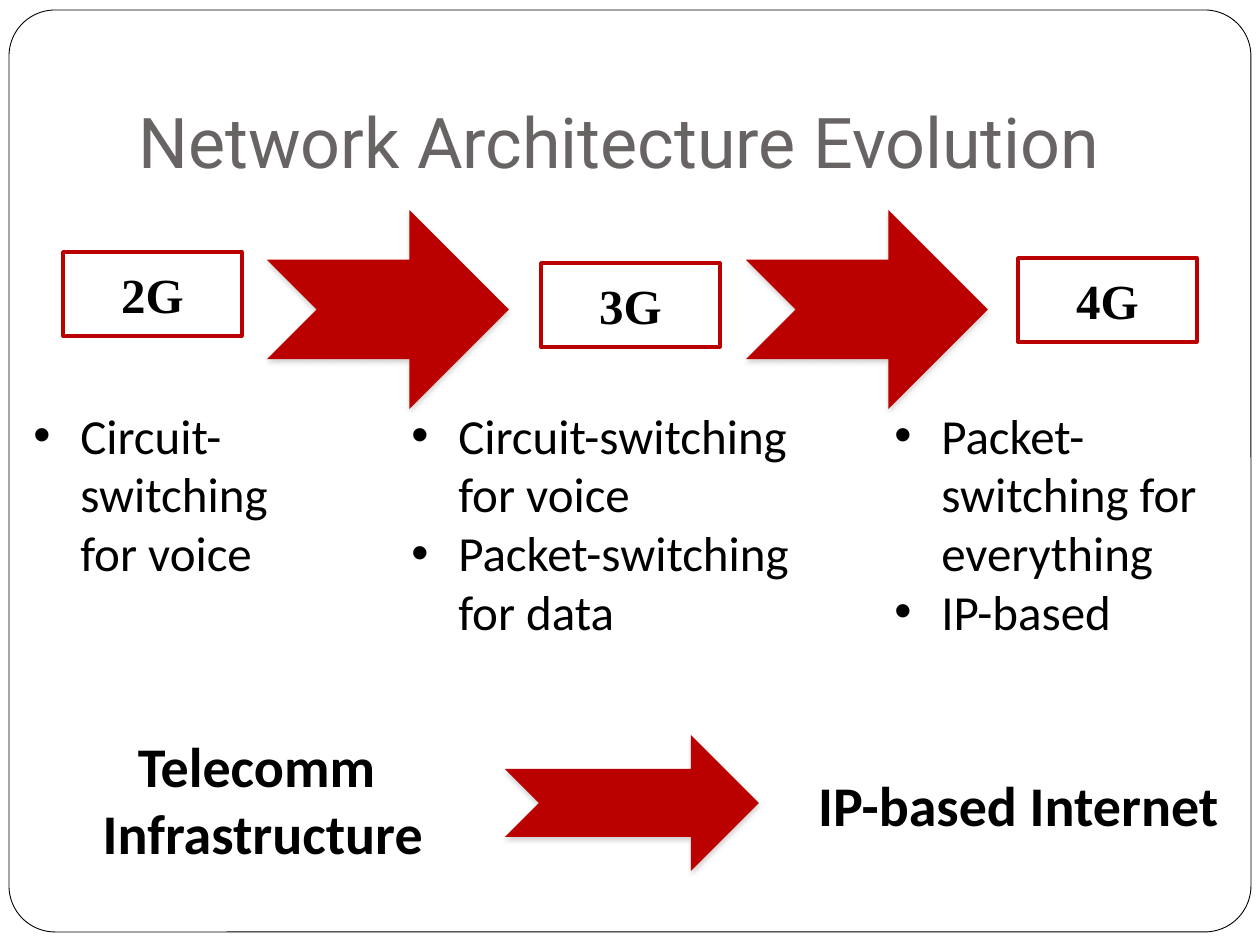
from lxml.etree import SubElement
from pptx import Presentation
from pptx.dml.color import RGBColor
from pptx.enum.shapes import MSO_SHAPE
from pptx.enum.text import MSO_ANCHOR, MSO_AUTO_SIZE, PP_ALIGN
from pptx.oxml.ns import qn
from pptx.util import Emu, Pt

# Content: places are left, top, width, height in px
TITLE = ("Network Architecture Evolution", (126, 38, 1071, 157))
GENERATIONS = [
    ("2G", (63, 252), (21, 399, 294, 192), ["Circuit-switching for voice"]),
    ("3G", (541, 263), (399, 399, 420, 251),
     ["Circuit-switching for voice", "Packet-switching for data"]),
    ("4G", (1018, 258), (882, 399, 388, 251),
     ["Packet-switching for everything", "IP-based"]),
]
LABEL_SIZE = (179, 84)
ARROWS = [(267, 210, 242, 199), (746, 210, 242, 199), (505, 735, 254, 136)]
SUMMARIES = [
    (["Telecomm ", "Infrastructure "], (87, 725, 352, 149), False),
    (["IP-based Internet"], (777, 764, 483, 81), True),
]
RED, BLACK, WHITE, GRAY, SHADOW = "BB0000", "000000", "FFFFFF", "696464", "808080"
INDENT = 47


def px(value):
    return Emu(round(value * 914400 / 126))


def color(value):
    return RGBColor.from_string(value)


def add_shape(kind, place, fill=None, line=None, width=0):
    shape = slide.shapes.add_shape(kind, *map(px, place))
    shape.shadow.inherit = False
    if fill:
        shape.fill.solid()
        shape.fill.fore_color.rgb = color(fill)
    else:
        shape.fill.background()
    if line:
        shape.line.color.rgb = color(line)
        shape.line.width = Pt(width)
    else:
        shape.line.fill.background()
    return shape


def add_text_box(place, wrap=True):
    frame = slide.shapes.add_textbox(*map(px, place)).text_frame
    frame.word_wrap = wrap
    frame.auto_size = MSO_AUTO_SIZE.SHAPE_TO_FIT_TEXT
    return frame


def write(frame, lines, size, font="Calibri", ink=BLACK, bold=False,
          align=PP_ALIGN.LEFT, bullet=False):
    for index, line in enumerate(lines):
        paragraph = frame.add_paragraph() if index else frame.paragraphs[0]
        paragraph.alignment = align
        if bullet:
            properties = paragraph._p.get_or_add_pPr()
            properties.set("marL", str(px(INDENT)))
            properties.set("indent", str(-px(INDENT)))
            SubElement(properties, qn("a:buFont"), typeface="Arial")
            SubElement(properties, qn("a:buChar"), char="•")
        run = paragraph.add_run()
        run.text = line
        run.font.size = Pt(size)
        run.font.name = font
        run.font.bold = bold
        run.font.color.rgb = color(ink)


def add_arrow(place):
    arrow = add_shape(MSO_SHAPE.NOTCHED_RIGHT_ARROW, place, RED)
    effects = arrow._element.spPr.find(qn("a:effectLst"))
    shadow = SubElement(effects, qn("a:outerShdw"), blurRad=str(Pt(3.1)),
                        dist=str(Pt(1.8)), dir="5400000", rotWithShape="0")
    tint = SubElement(shadow, qn("a:srgbClr"), val=SHADOW)
    SubElement(tint, qn("a:alpha"), val="35000")


presentation = Presentation()
presentation.slide_width, presentation.slide_height = px(1260), px(945)
slide = presentation.slides.add_slide(presentation.slide_layouts[6])

# Rounded frame and title
border = add_shape(MSO_SHAPE.ROUNDED_RECTANGLE, (9, 10, 1242, 922), WHITE, BLACK, 0.5)
border.adjustments[0] = 0.05
title, title_place = TITLE
frame = add_text_box(title_place)
frame.auto_size = MSO_AUTO_SIZE.NONE
frame.vertical_anchor = MSO_ANCHOR.BOTTOM
frame.margin_bottom = px(13)
write(frame, [title], 40, "Roboto", GRAY)

# Arrows between generations and between summaries
for place in ARROWS:
    add_arrow(place)

# Generation labels with their bullet lists
for name, corner, list_place, points in GENERATIONS:
    label = add_shape(MSO_SHAPE.RECTANGLE, corner + LABEL_SIZE, line=RED, width=2)
    label.text_frame.vertical_anchor = MSO_ANCHOR.MIDDLE
    write(label.text_frame, [name], 28, "Times New Roman", bold=True,
          align=PP_ALIGN.CENTER)
    write(add_text_box(list_place), points, 28, bullet=True)

# Summary row
for lines, place, wrap in SUMMARIES:
    write(add_text_box(place, wrap), lines, 32, bold=True, align=PP_ALIGN.CENTER)

presentation.save("out.pptx")
